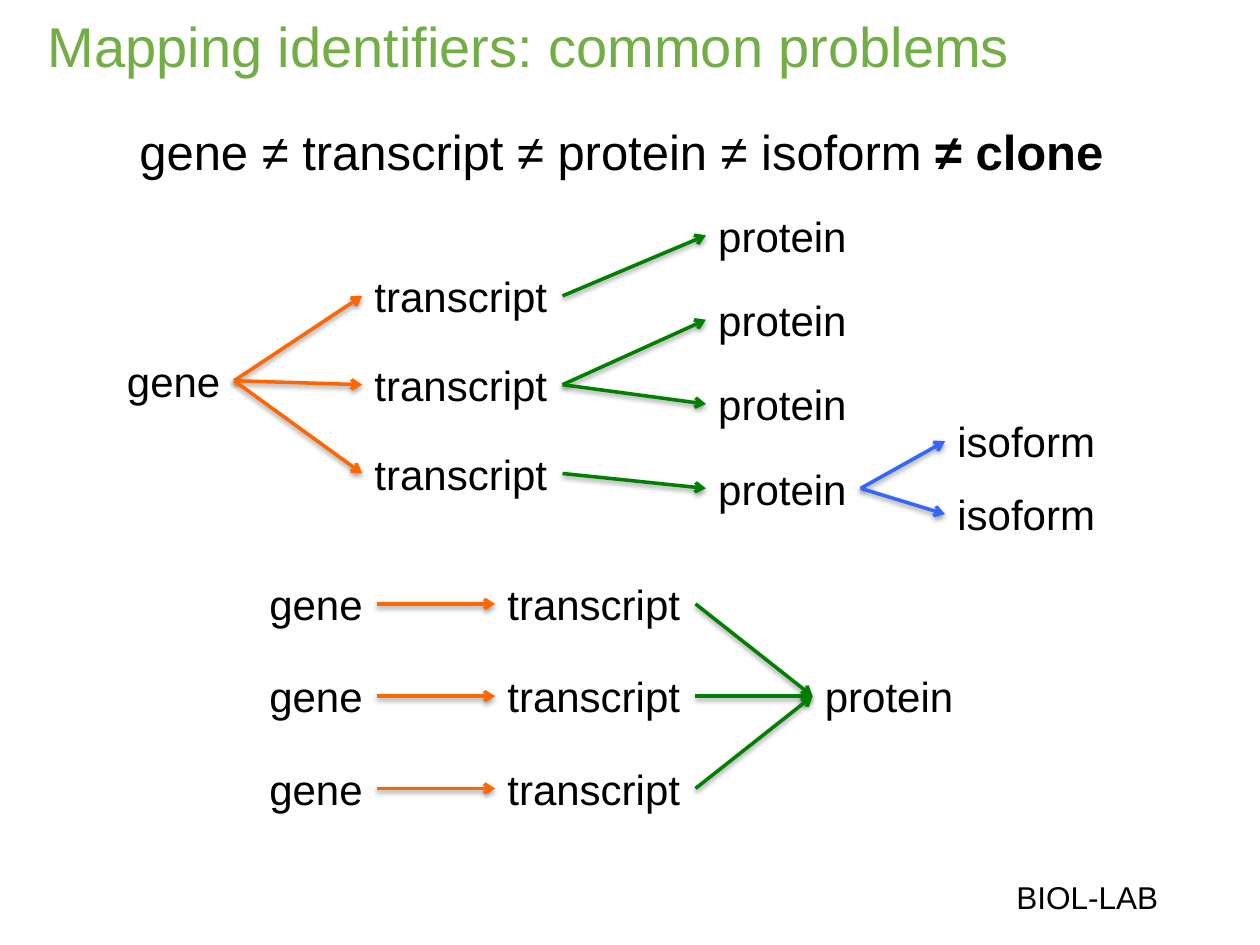
from dataclasses import dataclass

from lxml.etree import SubElement
from pptx import Presentation
from pptx.dml.color import RGBColor
from pptx.enum.shapes import MSO_CONNECTOR as Connector
from pptx.enum.text import MSO_ANCHOR as Anchor, MSO_AUTO_SIZE as AutoSize
from pptx.oxml.ns import qn
from pptx.shapes.autoshape import Shape
from pptx.slide import Slide
from pptx.util import Cm, Pt

BLACK = RGBColor(0x00, 0x00, 0x00)
TITLE_GREEN = RGBColor(0x72, 0xAD, 0x46)
ORANGE = RGBColor(0xFF, 0x66, 0x00)
GREEN = RGBColor(0x00, 0x80, 0x00)
BLUE = RGBColor(0x33, 0x66, 0xFF)

LEFT_SIDE, RIGHT_SIDE = 1, 3
NODE_HEIGHT = 1.27
NODE_WIDTHS = {"gene": 2.41, "transcript": 4.04, "protein": 3.12, "isoform": 3.33}


@dataclass
class Span:
    text: str
    bold: bool = False


@dataclass
class Label:
    """A line of text; lengths are in centimetres, size in points."""
    spans: list[Span]
    left: float
    top: float
    width: float
    height: float
    size: int = 24
    color: RGBColor = BLACK
    wrap: bool = False
    anchor: Anchor = Anchor.TOP


@dataclass
class Column:
    """Equal words stacked at a fixed step, in centimetres."""
    word: str
    left: float
    top: float
    step: float = 0
    count: int = 1


HEADINGS = [
    Label([Span("BIOL-LAB")], 20.24, 17.58, 3.51, 1.02, size=18),
    Label([Span("Mapping identifiers: common problems")], 0.71, 0.1, 22.86, 1.63,
          size=32, color=TITLE_GREEN, wrap=True, anchor=Anchor.MIDDLE),
    Label([Span("gene ≠ transcript ≠ protein ≠ isoform "), Span("≠ clone", bold=True)],
          2.56, 2.33, 20.17, 1.45, size=28),
]


def set_values(target: object, values: dict) -> None:
    for name, value in values.items():
        setattr(target, name, value)


def draw_label(page: Slide, label: Label) -> Shape:
    box = page.shapes.add_textbox(
        *(Cm(n) for n in (label.left, label.top, label.width, label.height)))
    set_values(box.text_frame, {
        "word_wrap": label.wrap,
        "auto_size": AutoSize.SHAPE_TO_FIT_TEXT,
        "vertical_anchor": label.anchor,
    })
    para = box.text_frame.paragraphs[0]
    for part in label.spans:
        span = para.add_run()
        span.text = part.text
        set_values(span.font, {"name": "Arial", "size": Pt(label.size), "bold": part.bold})
        span.font.color.rgb = label.color
    return box


def draw_column(page: Slide, column: Column) -> list[Shape]:
    return [
        draw_label(page, Label([Span(column.word)], column.left,
                               column.top + row * column.step,
                               NODE_WIDTHS[column.word], NODE_HEIGHT))
        for row in range(column.count)
    ]


def draw_arrow(page: Slide, source: Shape, target: Shape, color: RGBColor) -> None:
    """Join the right side of source to the left side of target."""
    arrow = page.shapes.add_connector(Connector.STRAIGHT, 0, 0, 0, 0)
    arrow.begin_connect(source, RIGHT_SIDE)
    arrow.end_connect(target, LEFT_SIDE)
    arrow.line.width = Pt(2)
    arrow.line.color.rgb = color
    SubElement(arrow.line._get_or_add_ln(), qn("a:tailEnd"), type="arrow")
    add_shadow(arrow._element.spPr)


def add_shadow(properties) -> None:
    effects = SubElement(properties, qn("a:effectLst"))
    shadow = SubElement(effects, qn("a:outerShdw"), blurRad=str(Pt(3.1)),
                        dist=str(Pt(1.6)), dir="5400000", rotWithShape="0")
    black = SubElement(shadow, qn("a:srgbClr"), val=str(BLACK))
    SubElement(black, qn("a:alpha"), val="38000")


def draw_one_to_many(page: Slide) -> None:
    gene, = draw_column(page, Column("gene", 2.31, 7.04))
    transcripts = draw_column(page, Column("transcript", 7.3, 5.33, 1.79, 3))
    proteins = draw_column(page, Column("protein", 14.23, 4.11, 1.7, 4))
    isoforms = draw_column(page, Column("isoform", 19.05, 8.26, 1.47, 2))
    for transcript in transcripts:
        draw_arrow(page, gene, transcript, ORANGE)
    for row, protein in zip((0, 1, 1, 2), proteins):
        draw_arrow(page, transcripts[row], protein, GREEN)
    for isoform in isoforms:
        draw_arrow(page, proteins[-1], isoform, BLUE)


def draw_many_to_one(page: Slide) -> None:
    top, step = 11.54, 1.86
    genes = draw_column(page, Column("gene", 5.18, top, step, 3))
    transcripts = draw_column(page, Column("transcript", 9.98, top, step, 3))
    protein, = draw_column(page, Column("protein", 16.38, top + step))
    for gene, transcript in zip(genes, transcripts):
        draw_arrow(page, gene, transcript, ORANGE)
        draw_arrow(page, transcript, protein, GREEN)


def main() -> None:
    deck = Presentation()
    set_values(deck, {"slide_width": Cm(25.4), "slide_height": Cm(19.05)})
    page = deck.slides.add_slide(deck.slide_layouts[6])
    for heading in HEADINGS:
        draw_label(page, heading)
    draw_one_to_many(page)
    draw_many_to_one(page)
    deck.save("out.pptx")


if __name__ == "__main__":
    main()
